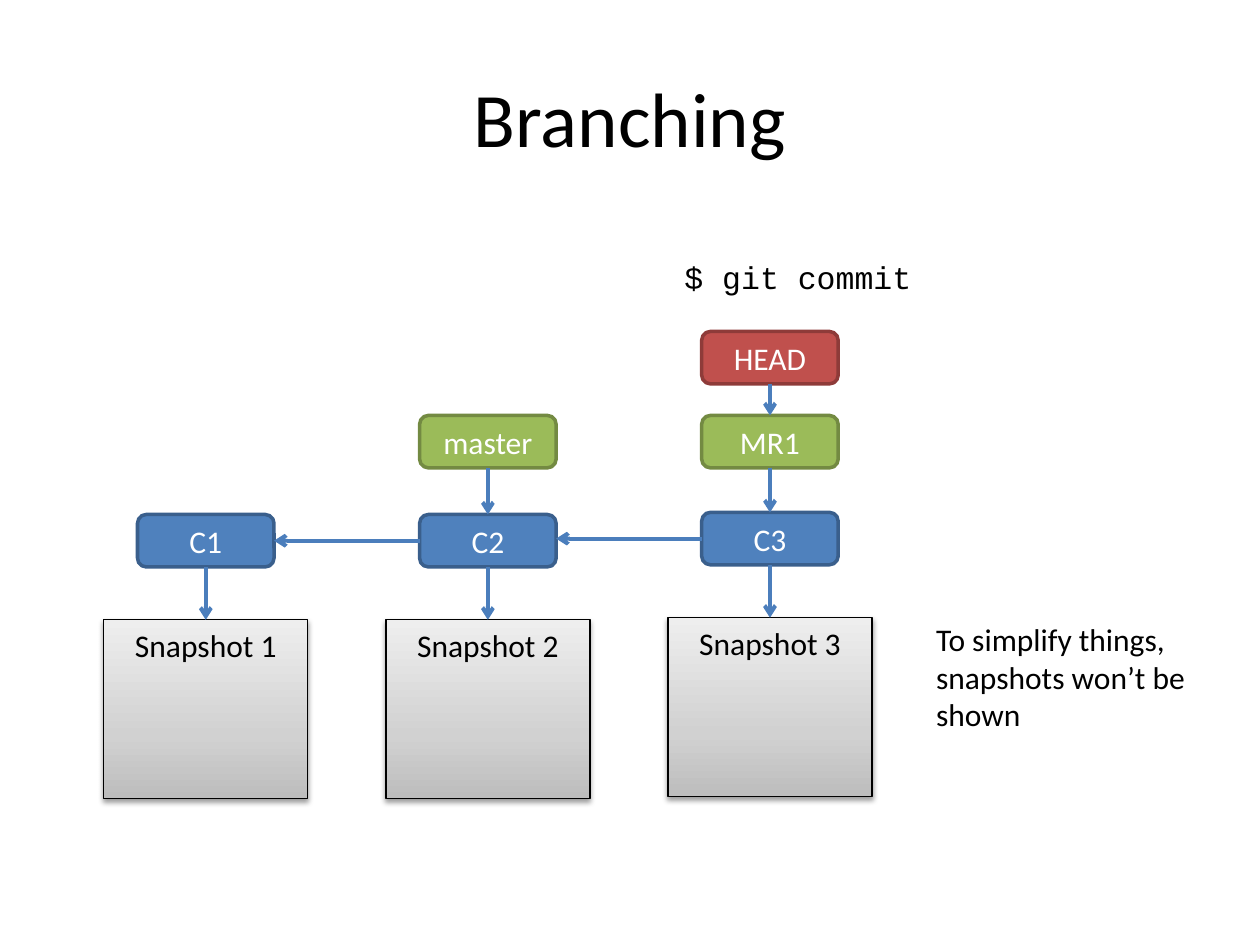
from dataclasses import dataclass

from lxml.etree import SubElement
from pptx import Presentation
from pptx.dml.color import RGBColor
from pptx.enum.shapes import MSO_CONNECTOR, MSO_SHAPE
from pptx.enum.text import MSO_ANCHOR, MSO_AUTO_SIZE, PP_ALIGN
from pptx.oxml.ns import qn
from pptx.util import Pt


@dataclass(frozen=True)
class Theme:
    font: str = "Calibri"
    code_font: str = "Courier New"
    title_size: int = 44
    text_size: int = 18
    dark: str = "000000"
    light: str = "FFFFFF"
    commit: tuple = ("4F81BD", "3A5F8C")
    branch: tuple = ("9BBB59", "738A42")
    head: tuple = ("C0504D", "8E3B39")
    arrow: str = "4B7EBC"
    snapshot: tuple = ((0, "BDBDBD"), (0.35, "D1D1D1"), (1, "EEEEEE"))


THEME = Theme()
TOP, LEFT, BOTTOM, RIGHT = range(4)  # connection sites of a box

NODE_WIDTH, NODE_HEIGHT = 78, 30
SNAPSHOT_WIDTH, SNAPSHOT_HEIGHT = 116.6, 102.2
FIRST_CENTER, COLUMN_PITCH = 117.6, 161.2
HEAD_TOP, BRANCH_TOP, COMMIT_TOP, SNAPSHOT_TOP = 189.4, 237.4, 294, 354.2
NEW_COMMIT_LIFT = 1.2  # the newest commit sits slightly higher


def rgb(value):
    return RGBColor.from_string(value)


def write(frame, text, color=THEME.dark, size=THEME.text_size,
          font=THEME.font, align=PP_ALIGN.LEFT):
    paragraph = frame.paragraphs[0]
    paragraph.alignment = align
    run = paragraph.add_run()
    run.text = text
    run.font.name = font
    run.font.size = Pt(size)
    run.font.color.rgb = rgb(color)


def add_centered(slide, preset, column, top, width, height):
    """Add a shape centred on a commit column."""
    left = FIRST_CENTER + column * COLUMN_PITCH - width / 2
    shape = slide.shapes.add_shape(
        preset, Pt(left), Pt(top), Pt(width), Pt(height))
    shape.shadow.inherit = False
    return shape


def add_node(slide, label, column, top, colors):
    node = add_centered(slide, MSO_SHAPE.ROUNDED_RECTANGLE, column, top,
                        NODE_WIDTH, NODE_HEIGHT)
    fill, outline = colors
    node.fill.solid()
    node.fill.fore_color.rgb = rgb(fill)
    node.line.color.rgb = rgb(outline)
    node.line.width = Pt(2)
    node.text_frame.vertical_anchor = MSO_ANCHOR.MIDDLE
    write(node.text_frame, label, THEME.light, align=PP_ALIGN.CENTER)
    return node


def fill_gradient(shape, stops):
    """Fill from bottom to top with the given (position, colour) stops."""
    shape.fill.gradient()
    shape.fill.gradient_angle = 90
    stop_list = shape.element.spPr.find(".//" + qn("a:gsLst"))
    for stop in list(stop_list):
        stop_list.remove(stop)
    for position, color in stops:
        stop = SubElement(stop_list, qn("a:gs"), pos=str(round(position * 100000)))
        SubElement(stop, qn("a:srgbClr"), val=color)


def add_soft_shadow(shape):
    effects = shape.element.spPr.find(qn("a:effectLst"))
    shadow = SubElement(effects, qn("a:outerShdw"), blurRad=str(Pt(3.1)),
                        dist=str(Pt(1.6)), dir="5400000", rotWithShape="0")
    color = SubElement(shadow, qn("a:srgbClr"), val=THEME.dark)
    SubElement(color, qn("a:alpha"), val="38000")


def add_snapshot(slide, label, column, top):
    snapshot = add_centered(slide, MSO_SHAPE.RECTANGLE, column, top,
                            SNAPSHOT_WIDTH, SNAPSHOT_HEIGHT)
    fill_gradient(snapshot, THEME.snapshot)
    snapshot.line.color.rgb = rgb(THEME.dark)
    snapshot.line.width = Pt(0.75)
    add_soft_shadow(snapshot)
    snapshot.text_frame.vertical_anchor = MSO_ANCHOR.TOP
    write(snapshot.text_frame, label, align=PP_ALIGN.CENTER)
    return snapshot


def add_arrow(slide, source, target, start=BOTTOM, end=TOP):
    arrow = slide.shapes.add_connector(MSO_CONNECTOR.STRAIGHT, 0, 0, 0, 0)
    arrow.begin_connect(source, start)
    arrow.end_connect(target, end)
    if start == LEFT:
        arrow.end_y = arrow.begin_y  # keep parent arrows level
    arrow.line.color.rgb = rgb(THEME.arrow)
    arrow.line.width = Pt(2.25)
    SubElement(arrow.line._get_or_add_ln(), qn("a:tailEnd"), type="arrow")
    SubElement(arrow._element.spPr, qn("a:effectLst"))


def add_text(slide, text, left, top, width, height, font=THEME.font, wrap=True):
    box = slide.shapes.add_textbox(Pt(left), Pt(top), Pt(width), Pt(height))
    box.text_frame.word_wrap = wrap
    box.text_frame.auto_size = MSO_AUTO_SIZE.SHAPE_TO_FIT_TEXT
    write(box.text_frame, text, font=font)


def add_title(slide, text):
    title = slide.shapes.title
    title.left, title.top, title.width, title.height = Pt(36), Pt(21.6), Pt(648), Pt(90)
    title.text_frame.vertical_anchor = MSO_ANCHOR.MIDDLE
    write(title.text_frame, text, size=THEME.title_size, align=PP_ALIGN.CENTER)


def add_history(slide):
    """Add the commits with their snapshots and return the commits."""
    commits = []
    for column, lift in enumerate((0, 0, NEW_COMMIT_LIFT)):
        number = column + 1
        commit = add_node(slide, f"C{number}", column, COMMIT_TOP - lift, THEME.commit)
        snapshot = add_snapshot(slide, f"Snapshot {number}", column, SNAPSHOT_TOP - lift)
        add_arrow(slide, commit, snapshot)
        if commits:
            add_arrow(slide, commit, commits[-1], LEFT, RIGHT)
        commits.append(commit)
    return commits


def main():
    presentation = Presentation()
    presentation.slide_width, presentation.slide_height = Pt(720), Pt(540)
    slide = presentation.slides.add_slide(presentation.slide_layouts[5])

    add_title(slide, "Branching")
    commits = add_history(slide)
    for column, name in ((1, "master"), (2, "MR1")):
        branch = add_node(slide, name, column, BRANCH_TOP, THEME.branch)
        add_arrow(slide, branch, commits[column])
    head = add_node(slide, "HEAD", 2, HEAD_TOP, THEME.head)
    add_arrow(slide, head, branch)

    add_text(slide, "$ git commit", 384, 144, 144.7, 29,
             font=THEME.code_font, wrap=False)
    add_text(slide, "To simplify things, snapshots won’t be shown",
             527.8, 350.6, 161.3, 72.7)
    presentation.save("out.pptx")


if __name__ == "__main__":
    main()
